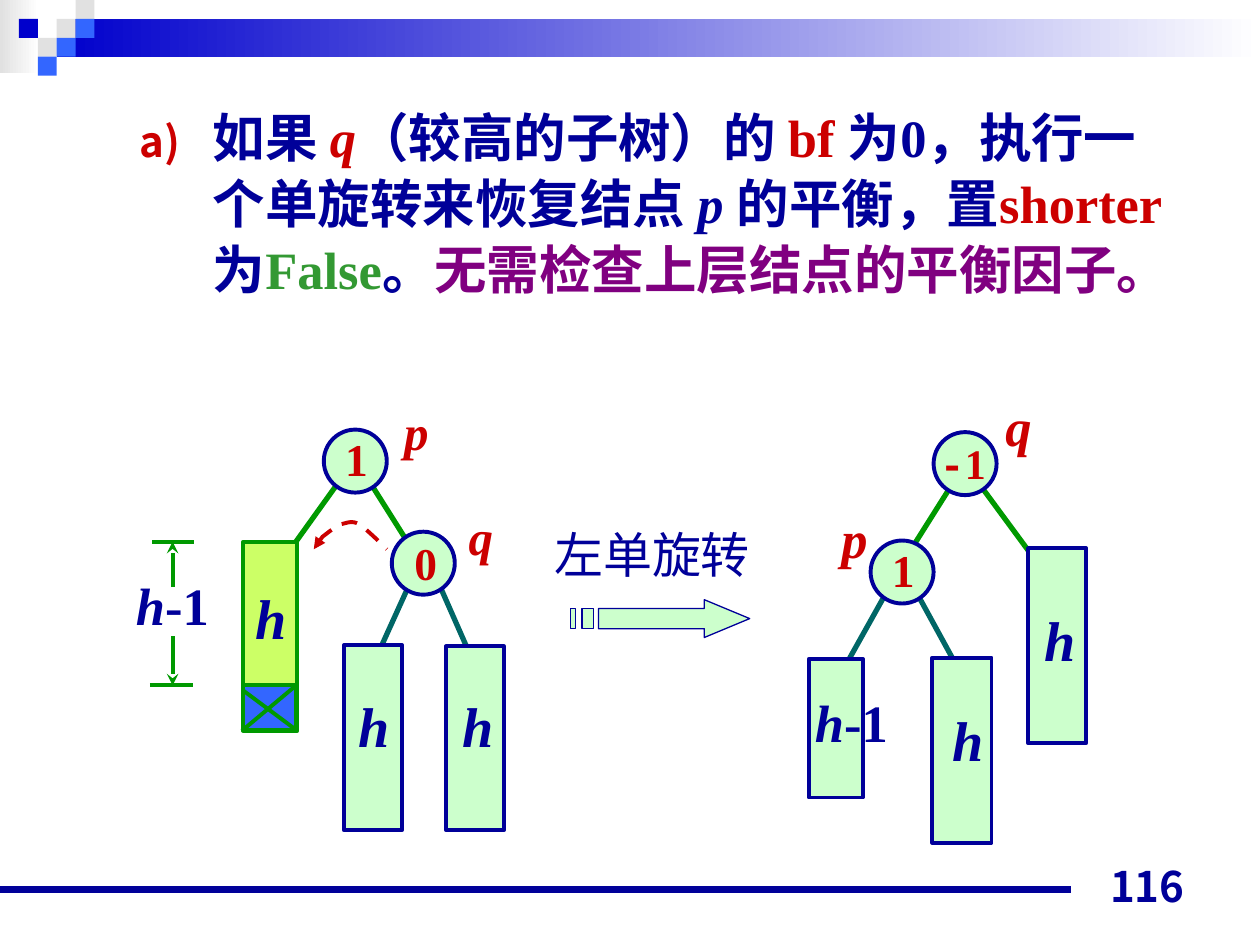
"""Build a slide on restoring balance in an AVL tree with a single left rotation."""
import lxml.etree
import pptx
import pptx.dml.color
import pptx.enum.dml
import pptx.enum.shapes
import pptx.enum.text
import pptx.oxml.ns
import pptx.util

deck = pptx.Presentation()
deck.slide_width, deck.slide_height = pptx.util.Inches(10), pptx.util.Inches(7.5)
unit = deck.slide_width / 100
slide = deck.slides.add_slide(deck.slide_layouts[1])
shapes = slide.shapes
qn = pptx.oxml.ns.qn
Auto = pptx.enum.text.MSO_AUTO_SIZE
RECT = pptx.enum.shapes.MSO_SHAPE.RECTANGLE
OVAL = pptx.enum.shapes.MSO_SHAPE.OVAL
WIRE = pptx.enum.shapes.MSO_CONNECTOR.STRAIGHT
NAVY, RED, GREEN, TEAL, MINT = "000099", "CC0000", "009900", "006666", "CCFFCC"
BLUE, GREY, DEEP, SERIF = "3366FF", "E1E1E1", "0000CC", "Times New Roman"


def ink(color, code):
    color.rgb = pptx.dml.color.RGBColor.from_string(code)


def grid(*cells):
    return [pptx.util.Emu(round(cell * unit)) for cell in cells]


for left, top, wide, high, tone in [(0, 0, 3.1, 5.8, GREY), (4.5, 1.5, 95.5, 3, DEEP)]:
    band = shapes.add_shape(RECT, *grid(left, top, wide, high))
    band.shadow.inherit = False
    band.line.fill.background()
    band.fill.gradient()
    band.fill.gradient_angle = 180
    for stop, code in zip(band.fill.gradient_stops, ("FFFFFF", tone)):
        ink(stop.color, code)

for col, row, tone in [(3, 1, GREY), (4, 0, GREY), (4, 1, BLUE), (2, 2, GREY),
                       (1, 1, DEEP), (3, 2, BLUE), (2, 3, BLUE)]:
    tile = shapes.add_shape(RECT, *grid(col * 1.5, row * 1.5, 1.5, 1.5))
    tile.shadow.inherit = False
    tile.line.fill.background()
    tile.fill.solid()
    ink(tile.fill.fore_color, tone)

slide.shapes.title.element.getparent().remove(slide.shapes.title.element)
body = slide.placeholders[1]
body.left, body.top, body.width, body.height = grid(5.1, 7.6, 88.3, 24)
body.text_frame.auto_size = Auto.NONE
para = body.text_frame.paragraphs[0]
para.line_spacing = 1.05
para.space_before = pptx.util.Pt(5.6)
props = para._p.get_or_add_pPr()
props.set("marL", str(grid(10.8)[0]))
props.set("indent", str(grid(-5.8)[0]))
mark = lxml.etree.SubElement(props, qn("a:buClr"))
lxml.etree.SubElement(mark, qn("a:srgbClr"), val=RED)
lxml.etree.SubElement(props, qn("a:buSzPct"), val="80000")
lxml.etree.SubElement(props, qn("a:buAutoNum"), type="alphaLcParenR")
para.font.name, para.font.size, para.font.bold = SERIF, pptx.util.Pt(30), True
for words, tone in [("如果 ", NAVY), ("q", RED), ("（较高的子树）的 ", NAVY), ("bf ", RED),
                    ("为0，执行一个单旋转来恢复结点 ", NAVY), ("p ", NAVY),
                    ("的平衡，置", NAVY), ("shorter", RED), ("为", NAVY),
                    ("False", "339933"), ("。", NAVY),
                    ("无需检查上层结点的平衡因子。", "800080")]:
    run = para.add_run()
    run.text = words
    run.font.italic = words.strip() in ("p", "q")
    ink(run.font.color, tone)

arrow = None
for loop in [[(47.5, 48.3), (55.9, 48.3), (55.9, 47.6), (59.5, 49.1), (55.9, 50.6),
              (55.9, 49.9), (47.5, 49.9)],
             [(45.3, 48.3), (45.7, 48.3), (45.7, 49.9), (45.3, 49.9)],
             [(46.2, 48.3), (47.1, 48.3), (47.1, 49.9), (46.2, 49.9)]]:
    if arrow is None:
        arrow = shapes.build_freeform(*grid(*loop[0]))
    else:
        arrow.move_to(*grid(*loop[0]))
    arrow.add_line_segments([grid(*spot) for spot in loop[1:]], close=True)
arrow = arrow.convert_to_shape()
arrow.shadow.inherit = False
arrow.fill.solid()
ink(arrow.fill.fore_color, MINT)
ink(arrow.line.color, NAVY)
arrow.line.width = pptx.util.Pt(0.75)

bend = [(24.9, 43.6), (25.1, 43.3), (25.3, 43), (25.6, 42.6), (26, 42.3), (26.6, 41.8),
        (27.1, 41.6), (27.6, 41.5), (27.9, 41.3), (28.5, 41.6), (29.1, 42), (30.4, 43.3),
        (30.7, 43.6)]
arc = shapes.build_freeform(*grid(*bend[0]))
for start in range(0, 12, 3):
    knots = bend[start:start + 4]
    for step in range(1, 9):
        t = step / 8
        parts = ((1 - t) ** 3, 3 * t * (1 - t) ** 2, 3 * t * t * (1 - t), t ** 3)
        arc.add_line_segments(
            [grid(*(sum(p * k[axis] for p, k in zip(parts, knots)) for axis in (0, 1)))],
            close=False)
arc = arc.convert_to_shape()
arc.shadow.inherit = False
arc.fill.background()
ink(arc.line.color, RED)
arc.line.width = pptx.util.Pt(2.25)
arc.line.dash_style = pptx.enum.dml.MSO_LINE.DASH
lxml.etree.SubElement(arc.line._get_or_add_ln(), qn("a:headEnd"), type="triangle")

for kind, *box, tone, edge, size in [
        (WIRE, 0, 70.6, 85, 70.6, None, NAVY, 4.5),
        (WIRE, 70.7, 46.4, 66.5, 53.9, None, TEAL, 3),
        (WIRE, 72.4, 46.4, 76.5, 53.9, None, TEAL, 3),
        (WIRE, 76.6, 36.8, 70.8, 46, None, GREEN, 3),
        (WIRE, 77.2, 37.7, 83.9, 46.8, None, GREEN, 3),
        (WIRE, 34.6, 45.8, 37.9, 53.3, None, TEAL, 3),
        (WIRE, 33.3, 44.6, 29.9, 52.1, None, TEAL, 3),
        (WIRE, 28.3, 36.6, 34.1, 45.8, None, GREEN, 3),
        (WIRE, 27.5, 37.4, 20.9, 46.6, None, GREEN, 3),
        (OVAL, 74.1, 34.3, 5, 5, MINT, NAVY, 2.25),
        (OVAL, 69.1, 42.9, 5, 5, MINT, NAVY, 2.25),
        (OVAL, 25.7, 34.1, 5, 5, MINT, NAVY, 2.25),
        (OVAL, 31.1, 42.2, 5, 5, MINT, NAVY, 2.25),
        (RECT, 64.2, 52.3, 4.3, 11, MINT, NAVY, 2.25),
        (RECT, 74, 52.2, 4.7, 14.7, MINT, NAVY, 2.25),
        (RECT, 81.6, 43.5, 4.6, 15.5, MINT, NAVY, 2.25),
        (RECT, 27.3, 51.2, 4.6, 14.7, MINT, NAVY, 2.25),
        (RECT, 35.4, 51.3, 4.6, 14.6, MINT, NAVY, 2.25),
        (RECT, 19.3, 43, 4.3, 15, "CCFF66", GREEN, 2.25),
        (RECT, 19.3, 54.4, 4.2, 3.5, BLUE, GREEN, 2.25),
        (WIRE, 23.5, 54.4, 19.2, 58, None, GREEN, 2.25),
        (WIRE, 19.3, 54.8, 23.6, 58, None, GREEN, 2.25),
        (WIRE, 11.9, 54.4, 15.3, 54.4, None, GREEN, 2.25),
        (WIRE, 12.1, 43, 15.4, 43, None, GREEN, 2.25),
        (WIRE, 13.7, 50.5, 13.7, 54.4, "stealth", GREEN, 2.25),
        (WIRE, 13.7, 46.6, 13.7, 43, "stealth", GREEN, 2.25)]:
    if kind is WIRE:
        item = shapes.add_connector(kind, *grid(*box))
        lxml.etree.SubElement(item._element.spPr, qn("a:effectLst"))
    else:
        item = shapes.add_shape(kind, *grid(*box))
        item.shadow.inherit = False
        item.fill.solid()
        ink(item.fill.fore_color, tone)
    ink(item.line.color, edge)
    item.line.width = pptx.util.Pt(size)
    if tone == "stealth":
        lxml.etree.SubElement(item.line._get_or_add_ln(), qn("a:tailEnd"), type=tone)

for *box, words, size, tone, lead in [
        (43, 41.1, 17.5, 5.7, "左单旋转", 28, NAVY, 0),
        (69.8, 42.5, 5.8, 5.4, "1", 26, RED, 0),
        (26.4, 33.7, 5.8, 5.4, "1", 26, RED, 0),
        (31.9, 42, 5.8, 5.4, "0", 26, RED, 0),
        (73.6, 34.2, 7.5, 5, "-1", 24, RED, 0),
        (74.6, 55.5, 4.2, 6.4, "h", 32, NAVY, 20),
        (81.9, 47.6, 4.2, 6.4, "h", 32, NAVY, 20),
        (19.3, 45.8, 5.1, 6.4, "h", 32, NAVY, 20),
        (27.5, 54.4, 4.2, 6.4, "h", 32, NAVY, 20),
        (35.7, 54.4, 4.2, 6.4, "h", 32, NAVY, 20),
        (63.7, 54.3, 8.3, 6, "h-1", 30, NAVY, 18.7),
        (9.8, 45, 8.3, 6, "h-1", 30, NAVY, 18.7),
        (65.8, 39.7, 5.2, 6, "p", 30, RED, 0),
        (78.8, 30.8, 5.2, 6, "q", 30, RED, 0),
        (31.1, 31.4, 5.2, 5.7, "p", 28, RED, 0),
        (36.2, 39.7, 5.2, 5.7, "q", 28, RED, 0),
        (71.7, 67.8, 23.3, 5, "116", 24, NAVY, 0)]:
    frame = shapes.add_textbox(*grid(*box)).text_frame
    frame.word_wrap = words != "左单旋转"
    frame.auto_size = Auto.SHAPE_TO_FIT_TEXT
    para = frame.paragraphs[0]
    para.space_before = pptx.util.Pt(lead)
    para.font.size = pptx.util.Pt(size)
    para.font.name = SERIF
    para.font.bold = words != "左单旋转"
    ink(para.font.color, tone)
    for part in [words] if "-" not in words else [words[0], words[1:]]:
        run = para.add_run()
        run.text = part
        if part in ("h", "p", "q"):
            run.font.italic = True
        elif part == "-":
            run.font.name = "Courier New"
    if words == "116":
        frame.auto_size = Auto.NONE
        frame.vertical_anchor = pptx.enum.text.MSO_ANCHOR.BOTTOM
        para.alignment = pptx.enum.text.PP_ALIGN.RIGHT
        para.font.name = "Noto Sans CJK JP"

deck.save("out.pptx")
